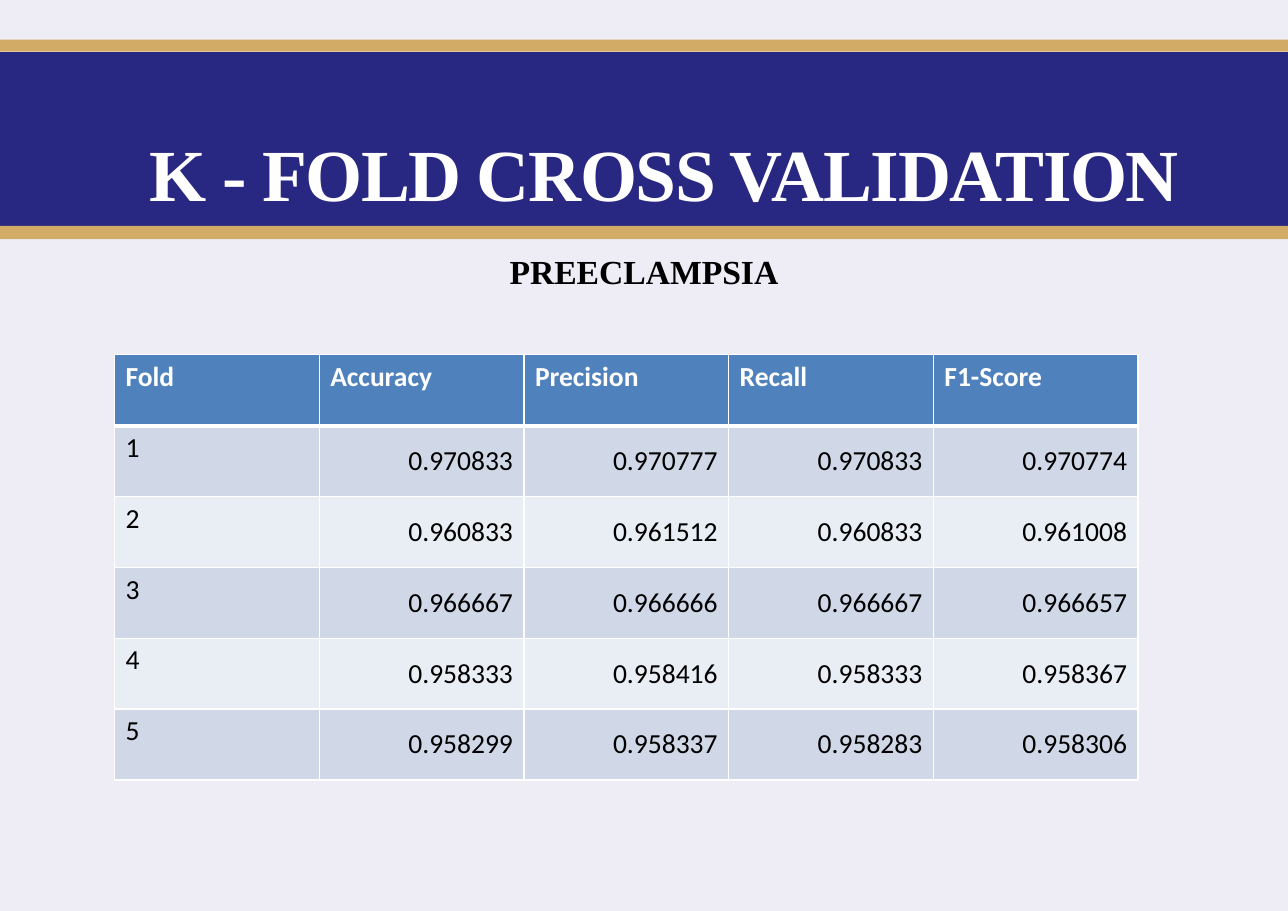
from lxml.etree import SubElement as Sub
from pptx import Presentation
from pptx.dml.color import RGBColor as RGB
from pptx.enum.text import MSO_ANCHOR as Anchor, PP_ALIGN as Align
from pptx.oxml.ns import qn
from pptx.util import Pt

PX = 9144
WIDE, HIGH = 1169, 827
PALE = RGB(0xEE, 0xED, 0xF6)
NAVY = RGB(0x28, 0x27, 0x81)
GOLD = RGB(0xD2, 0xAB, 0x67)
WHITE = RGB(0xFF, 0xFF, 0xFF)
BLACK = RGB(0, 0, 0)
BLUE = RGB(0x4F, 0x81, 0xBD)
STRIPES = RGB(0xE9, 0xED, 0xF4), RGB(0xD0, 0xD8, 0xE8)
SERIF, SANS = "Times New Roman", "Calibri"

BANDS = [
    (PALE, [(0, 36)]),
    (PALE, [(205, HIGH)]),
    (NAVY, [(47, 205)]),
    (GOLD, [(36, 47), (205, 217)]),
]
SCORES = [
    ("Fold", "Accuracy", "Precision", "Recall", "F1-Score"),
    ("1", "0.970833", "0.970777", "0.970833", "0.970774"),
    ("2", "0.960833", "0.961512", "0.960833", "0.961008"),
    ("3", "0.966667", "0.966666", "0.966667", "0.966657"),
    ("4", "0.958333", "0.958416", "0.958333", "0.958367"),
    ("5", "0.958299", "0.958337", "0.958283", "0.958306"),
]


def scale(*sizes):
    return [size * PX for size in sizes]


def style(para, face, size, color, bold, align):
    para.alignment = align
    font = para.font
    font.name, font.size, font.bold = face, Pt(size), bold
    font.color.rgb = color


def add_band(slide, color, spans):
    pen = slide.shapes.build_freeform(0, spans[0][0], scale=PX)
    for top, base in spans:
        pen.move_to(0, top)
        pen.add_line_segments([(WIDE, top), (WIDE, base), (0, base)])
    band = pen.convert_to_shape()
    band.shadow.inherit = False
    band.fill.solid()
    band.fill.fore_color.rgb = color
    band.line.fill.background()


def add_label(slide, text, box, size, color, inset):
    frame = slide.shapes.add_textbox(*scale(*box)).text_frame
    frame.word_wrap = True
    frame.margin_left = frame.margin_right = frame.margin_bottom = 0
    frame.margin_top = inset * PX
    para = frame.paragraphs[0]
    para.text = text
    style(para, SERIF, size, color, True, Align.CENTER)
    return para


def add_edges(cell, top, base):
    props = cell._tc.get_or_add_tcPr()
    edges = {"L": 1, "R": 1, "T": top, "B": base}
    for spot, (side, width) in enumerate(edges.items()):
        line = Sub(props, qn(f"a:ln{side}"), w=str(Pt(width)))
        fill = Sub(line, qn("a:solidFill"))
        Sub(fill, qn("a:srgbClr"), val=str(WHITE))
        props.insert(spot, line)


def fill_cell(cell, text, row, col):
    head = row == 0
    score = not head and col > 0
    cell.text = text
    cell.vertical_anchor = Anchor.MIDDLE if score else Anchor.TOP
    cell.fill.solid()
    cell.fill.fore_color.rgb = BLUE if head else STRIPES[row % 2]
    style(cell.text_frame.paragraphs[0], SANS, 18, WHITE if head else BLACK,
          head, Align.RIGHT if score else Align.LEFT)
    add_edges(cell, 3 if row == 1 else 1, 3 if head else 1)


def add_grid(slide, rows, box):
    table = slide.shapes.add_table(len(rows), len(rows[0]), *scale(*box)).table
    for row, texts in enumerate(rows):
        for col, text in enumerate(texts):
            fill_cell(table.cell(row, col), text, row, col)


def main():
    """Build the slide of cross validation scores."""
    deck = Presentation()
    deck.slide_width, deck.slide_height = scale(WIDE, HIGH)
    slide = deck.slides.add_slide(deck.slide_layouts[6])
    for color, spans in BANDS:
        add_band(slide, color, spans)
    title = add_label(slide, "K - FOLD CROSS VALIDATION",
                      (37, 115, 1132, 82), 48, WHITE, 1)
    title.runs[0].font._element.set("spc", "-100")
    add_label(slide, "PREECLAMPSIA", (0, 223, WIDE, 47), 22, BLACK, 5)
    add_grid(slide, SCORES, (104, 322, 929, 386))
    deck.save("out.pptx")


if __name__ == "__main__":
    main()
